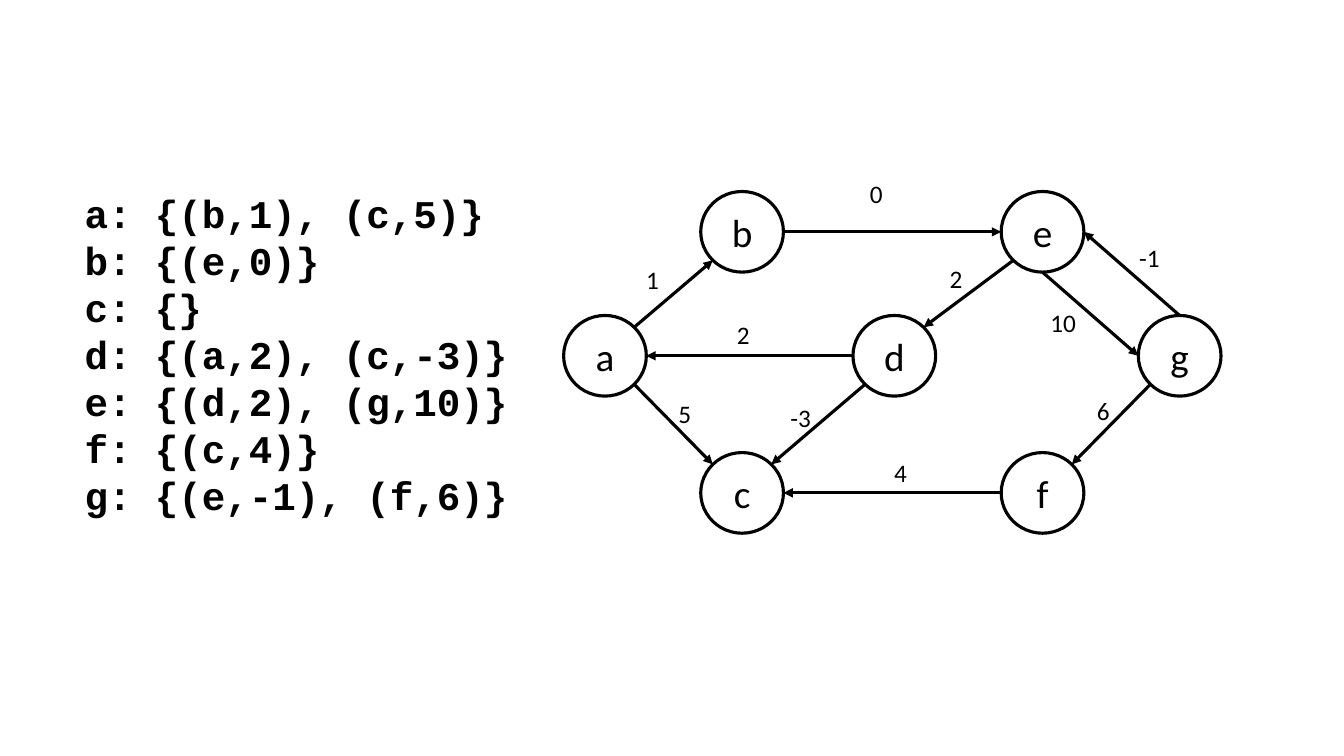
from pptx import Presentation
from pptx.dml.color import RGBColor
from pptx.enum import shapes, text
from pptx.oxml import parse_xml
from pptx.oxml.ns import nsdecls, qn
from pptx.util import Inches, Pt

COLOURS = {"ink": "000000"}
INK = RGBColor.from_string(COLOURS["ink"])

# Content: adjacency list, node places (left, top), edges and weights
ADJACENCY = [
    "a: {(b,1), (c,5)}",
    "b: {(e,0)}",
    "c: {}",
    "d: {(a,2), (c,-3)}",
    "e: {(d,2), (g,10)}",
    "f: {(c,4)}",
    "g: {(e,-1), (f,6)}",
]
TOP_ROW, MIDDLE_ROW, BOTTOM_ROW = 1.9, 3.13, 4.49
NODES = {
    "a": (5.59, MIDDLE_ROW),
    "b": (6.95, TOP_ROW),
    "c": (6.95, BOTTOM_ROW),
    "d": (8.46, MIDDLE_ROW),
    "e": (9.93, TOP_ROW),
    "f": (9.93, BOTTOM_ROW),
    "g": (11.29, MIDDLE_ROW),
}
# from, side, to, side, weight, weight box (left, top)
EDGES = [
    ("a", "NE", "b", "SW", "1", (6.31, 2.57)),
    ("d", "W", "a", "E", "2", (7.21, 3.12)),
    ("b", "E", "e", "W", "0", (8.53, 1.72)),
    ("a", "SE", "c", "NW", "5", (6.63, 3.9)),
    ("d", "SW", "c", "NE", "-3", (7.74, 3.94)),
    ("f", "W", "c", "E", "4", (8.77, 4.49)),
    ("e", "SW", "d", "NE", "2", (9.32, 2.56)),
    ("e", "S", "g", "W", "10", (10.32, 3)),
    ("g", "N", "e", "E", "-1", (11.2, 2.35)),
    ("g", "SW", "f", "NE", "6", (10.78, 3.87)),
]
NODE_WIDTH, NODE_HEIGHT = 0.82, 0.8
DIAGONAL = 0.5 ** 0.5


def rim_point(node, side):
    """Point on a node's rim in a compass direction."""
    left, top = NODES[node]
    across = ("E" in side) - ("W" in side)
    down = ("S" in side) - ("N" in side)
    reach = DIAGONAL if len(side) == 2 else 1
    return (Inches(left + NODE_WIDTH / 2 * (1 + across * reach)),
            Inches(top + NODE_HEIGHT / 2 * (1 + down * reach)))


def style_line(line):
    line.color.rgb = INK
    line.width = Pt(2.25)


def style_text(frame, font_name, size, bold=False):
    for para in frame.paragraphs:
        for span in para.runs:
            span.font.name = font_name
            span.font.size = Pt(size)
            span.font.bold = bold
            span.font.color.rgb = INK


def add_text(page, place, size, content):
    box = page.shapes.add_textbox(*map(Inches, place + size))
    box.text_frame.word_wrap = True
    box.text_frame.text = content
    return box.text_frame


deck = Presentation()
deck.slide_width, deck.slide_height = Inches(13.33), Inches(7.5)
page = deck.slides.add_slide(deck.slide_layouts[6])

# Nodes
for name, (left, top) in NODES.items():
    node = page.shapes.add_shape(
        shapes.MSO_SHAPE.OVAL, Inches(left), Inches(top),
        Inches(NODE_WIDTH), Inches(NODE_HEIGHT))
    node.shadow.inherit = False
    node.fill.background()
    style_line(node.line)
    frame = node.text_frame
    frame.text = name
    frame.vertical_anchor = text.MSO_ANCHOR.MIDDLE
    frame.paragraphs[0].alignment = text.PP_ALIGN.CENTER
    style_text(frame, "Calibri", 28)

# Edges with their weights
for start, start_side, end, end_side, weight, place in EDGES:
    edge = page.shapes.add_connector(
        shapes.MSO_CONNECTOR.STRAIGHT,
        *rim_point(start, start_side), *rim_point(end, end_side))
    style_line(edge.line)
    properties = edge._element.spPr
    properties.find(qn("a:ln")).append(
        parse_xml(f'<a:tailEnd {nsdecls("a")} type="triangle"/>'))
    properties.append(parse_xml(f'<a:effectLst {nsdecls("a")}/>'))
    style_text(add_text(page, place, (0.47, 0.4), weight), "Calibri", 18)

# Adjacency list
listing = add_text(page, (0.74, 1.83), (5.12, 3.4), "\n".join(ADJACENCY))
style_text(listing, "Courier New", 28, bold=True)
for para in listing.paragraphs:
    para.line_spacing = Pt(33.6)

deck.save("out.pptx")
